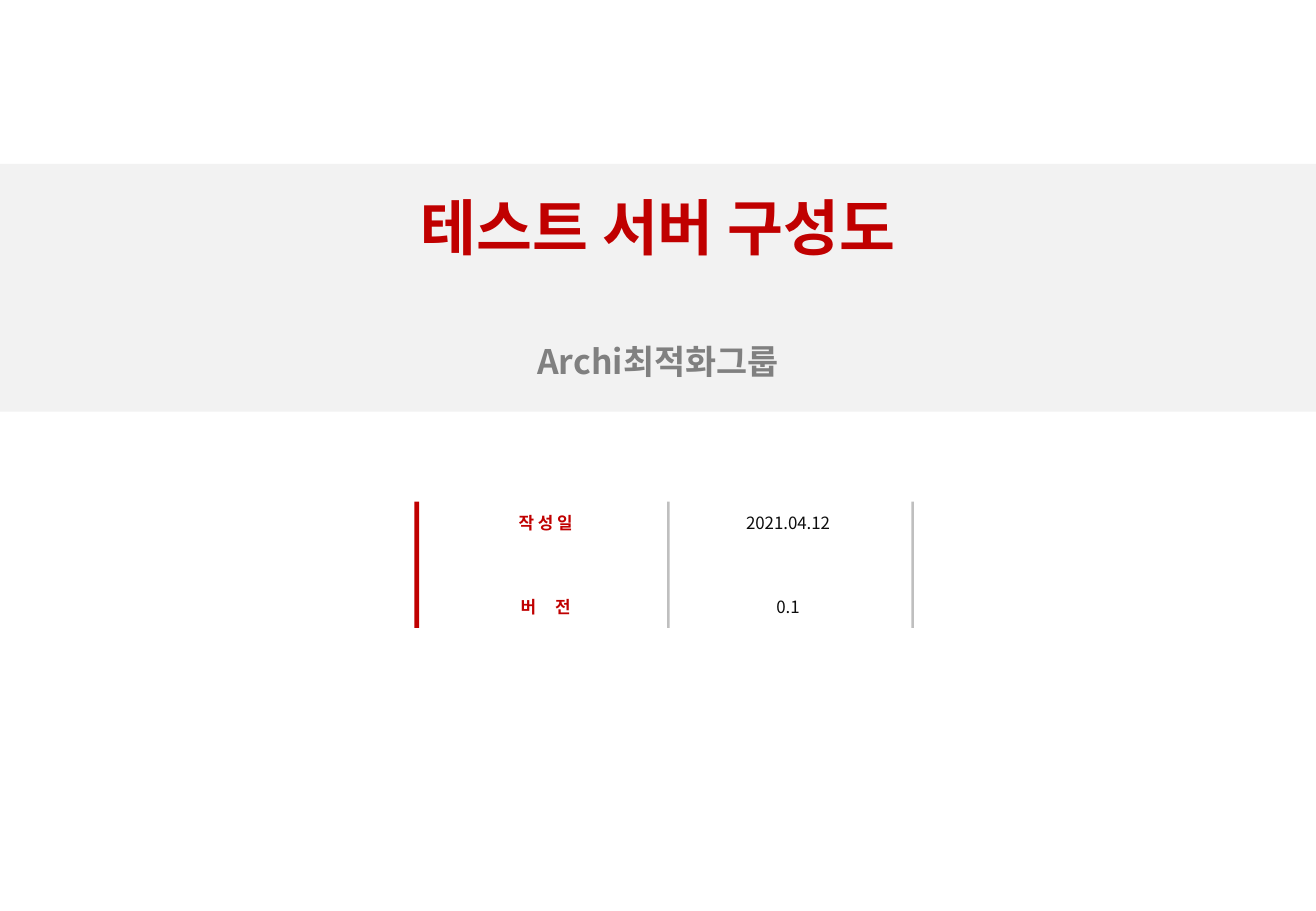
from pptx import Presentation
from pptx.dml.color import RGBColor
from pptx.enum.shapes import MSO_SHAPE
from pptx.enum.text import MSO_ANCHOR, MSO_AUTO_SIZE, PP_ALIGN
from pptx.oxml.ns import qn
from pptx.util import Inches, Pt
from lxml import etree

RECT = MSO_SHAPE.RECTANGLE
TOP, MIDDLE = MSO_ANCHOR.TOP, MSO_ANCHOR.MIDDLE
CENTER = PP_ALIGN.CENTER
NO_FIT = MSO_AUTO_SIZE.NONE
FONT = "Noto Sans CJK KR"
RED, GRAY, BLACK = "C00000", "808080", "0D0D0D"
PALE, RULE = "F2F2F2", "BFBFBF"
WIDTH = 10.83

deck = Presentation()
deck.slide_width, deck.slide_height = Inches(WIDTH), Inches(7.5)
slide = deck.slides.add_slide(deck.slide_layouts[5])
shapes = slide.shapes


def write(text, box, size=10, color=BLACK, bold=False, anchor=MIDDLE, gap=0, shape=None):
    """Put centred text in a box; gap widens all letters but the last."""
    area = [Inches(n) for n in box]
    shape = shape or shapes.add_textbox(*area)
    shape.left, shape.top, shape.width, shape.height = area
    frame = shape.text_frame
    frame.word_wrap, frame.auto_size = True, NO_FIT
    frame.vertical_anchor = anchor
    line = frame.paragraphs[0]
    line.alignment = CENTER
    for part in ([text[:-1], text[-1]] if gap else [text]):
        run = line.add_run()
        run.text = part
        font = run.font
        font.name, font.size, font.bold = FONT, Pt(size), bold
        font.color.rgb = RGBColor.from_string(color)
        props = font._element
        etree.SubElement(props, qn("a:ea")).set("typeface", FONT)
        if gap and part != text[-1]:
            props.set("spc", str(int(gap * 100)))


def bar(left, top, width, height, color):
    shape = shapes.add_shape(RECT, *[Inches(n) for n in (left, top, width, height)])
    shape.shadow.inherit = False
    shape.fill.solid()
    shape.fill.fore_color.rgb = RGBColor.from_string(color)
    shape.line.fill.background()
    return shape


# Title band, placed behind the title
band = bar(0, 1.35, WIDTH, 2.04, PALE)
shapes.title._element.addprevious(band._element)
write("테스트 서버 구성도", (0, 1.51, WIDTH, 0.71), size=36, color=RED,
      bold=True, anchor=TOP, shape=shapes.title)
write("Archi최적화그룹", (0, 2.76, WIDTH, 0.44), size=20, color=GRAY,
      bold=True, anchor=TOP)

# Upright rules of the document facts
for left, width, color in [(3.41, 0.04, RED), (5.49, 0.02, RULE), (7.5, 0.02, RULE)]:
    bar(left, 4.13, width, 1.04, color)

# Labels and values
facts = [("작 성 일", "2021.04.12", 0), ("버 전", "0.1", 4.5)]
for row, (label, value, gap) in enumerate(facts):
    top = 4.13 + row * 0.69
    write(label, (3.46, top, 2.06, 0.35), color=RED, bold=True, gap=gap)
    write(value, (5.51, top, 1.95, 0.35))

deck.save("out.pptx")
